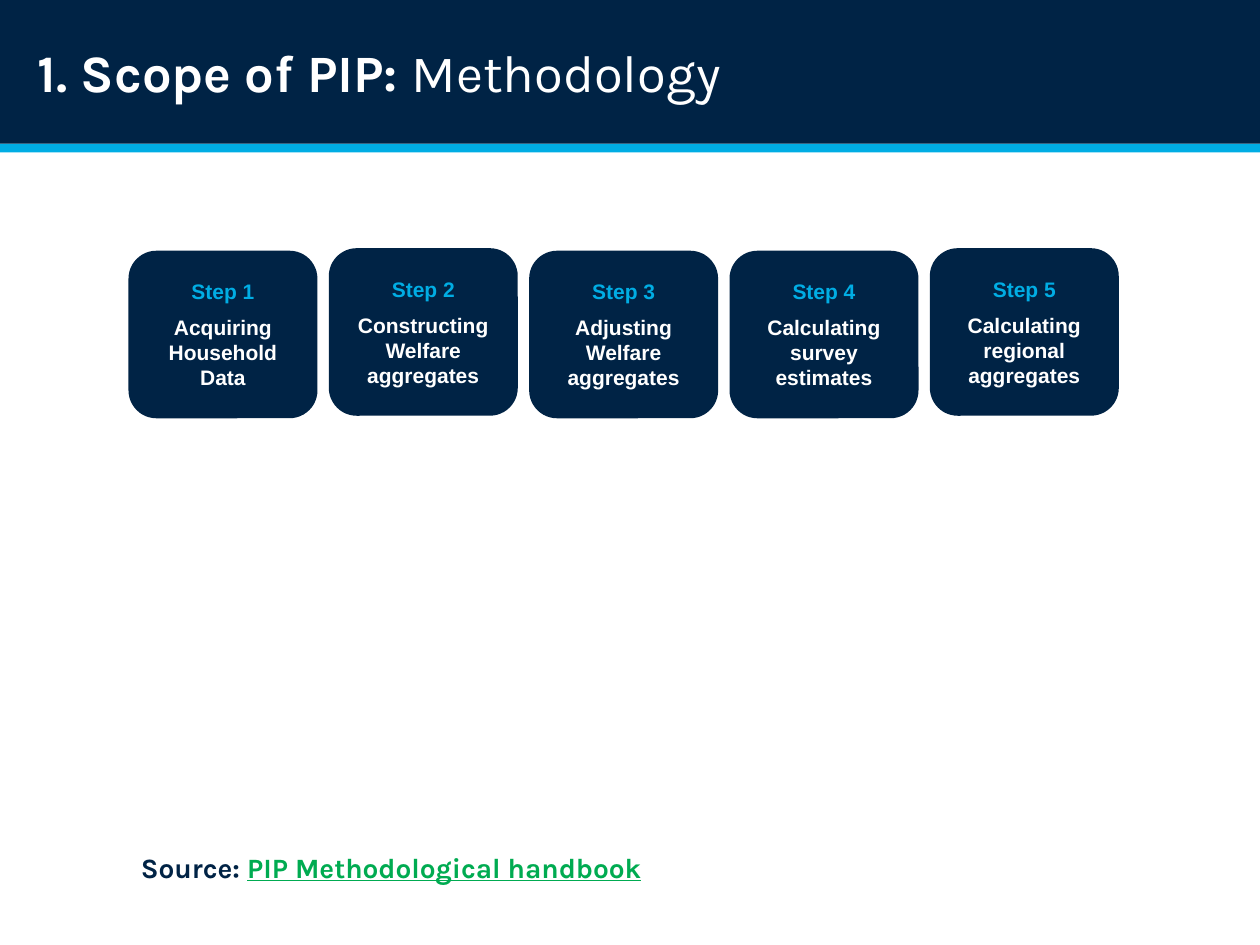
from pptx import Presentation
from pptx.dml.color import RGBColor
from pptx.enum.shapes import MSO_SHAPE
from pptx.enum.text import MSO_ANCHOR, PP_ALIGN
from pptx.util import Inches, Pt

RECT = MSO_SHAPE.RECTANGLE
ROUND = MSO_SHAPE.ROUNDED_RECTANGLE
MIDDLE = MSO_ANCHOR.MIDDLE
LEFT = PP_ALIGN.LEFT
CENTER = PP_ALIGN.CENTER

NAVY = RGBColor(0x00, 0x23, 0x45)
CYAN = RGBColor(0x00, 0xAD, 0xE4)
GREEN = RGBColor(0x00, 0xAB, 0x51)
WHITE = RGBColor(0xFF, 0xFF, 0xFF)

STEPS = [
    ("Acquiring Household Data", 1.99),
    ("Constructing Welfare aggregates", 1.97),
    ("Adjusting Welfare aggregates", 1.99),
    ("Calculating survey estimates", 1.99),
    ("Calculating regional aggregates", 1.97),
]
START, PITCH = 1.02, 1.59


def add_text(para, text, size=12, font="Arial", color=WHITE, bold=True,
             line=None, align=LEFT):
    para.alignment = align
    run = para.add_run()
    run.text = text
    run.font.size = Pt(size)
    run.font.name = font
    run.font.color.rgb = color
    run.font.bold = bold
    run.font.underline = line


def add_box(slide, kind, left, top, width, height, fill):
    box = slide.shapes.add_shape(
        kind, Inches(left), Inches(top), Inches(width), Inches(height))
    box.shadow.inherit = False
    box.fill.solid()
    box.fill.fore_color.rgb = fill
    box.line.fill.background()
    frame = box.text_frame
    frame.word_wrap = True
    frame.vertical_anchor = MIDDLE
    return frame


def add_head(slide):
    add_box(slide, RECT, 0, 1.14, 10, 0.07, CYAN)
    frame = add_box(slide, RECT, 0, 0, 10, 1.14, NAVY)
    frame.margin_left = Inches(0.3)
    para = frame.paragraphs[0]
    add_text(para, "1. Scope of PIP: ", size=30, font="Karla")
    add_text(para, "Methodology", size=30, font="Karla", bold=False)


def add_source(slide):
    box = slide.shapes.add_textbox(
        Inches(START), Inches(6.7), Inches(8.57), Inches(0.37))
    box.text_frame.word_wrap = True
    para = box.text_frame.paragraphs[0]
    add_text(para, "Source: ", size=16, font="Karla", color=NAVY)
    add_text(para, "PIP Methodological handbook", size=16, font="Karla",
             color=GREEN, line=True)


def add_step(slide, index, label, top):
    left = START + index * PITCH
    frame = add_box(slide, ROUND, left, top, 1.5, 1.33, NAVY)
    add_text(frame.paragraphs[0], f"Step {index + 1}", color=CYAN, align=CENTER)
    para = frame.add_paragraph()
    para.space_before = Pt(6)
    add_text(para, label, align=CENTER)


def main():
    deck = Presentation()
    deck.slide_width = Inches(10)
    deck.slide_height = Inches(7.5)
    slide = deck.slides.add_slide(deck.slide_layouts[6])
    add_head(slide)
    add_source(slide)
    for index, (label, top) in enumerate(STEPS):
        add_step(slide, index, label, top)
    deck.save("out.pptx")


if __name__ == "__main__":
    main()
